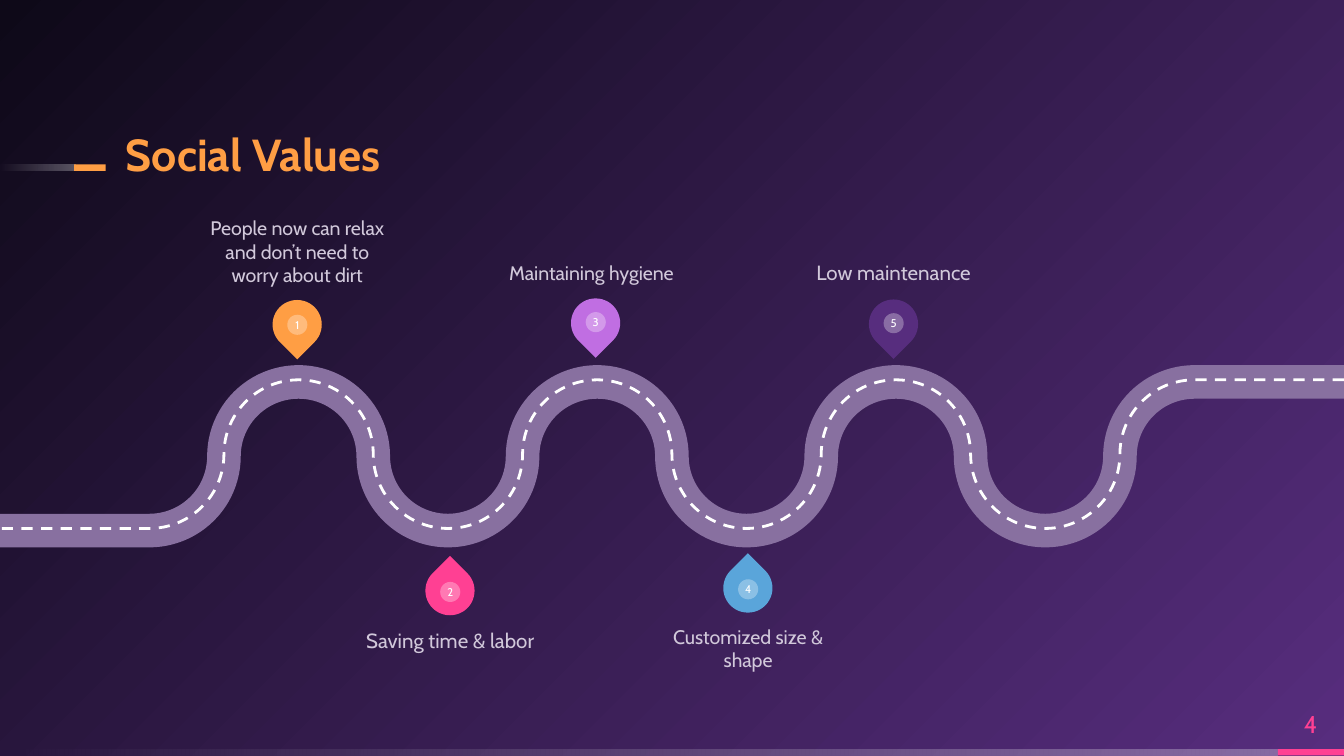
"""Build the Social Values roadmap slide."""
from lxml import etree
from pptx import Presentation, util as u
from pptx.dml.color import RGBColor
from pptx.enum import dml, shapes, text
from pptx.oxml import ns

HUES = {"orange": "FF9E44", "pink": "FF4093", "lilac": "C06EE2", "plum": "572D7E",
        "blue": "5AA5DA", "night": "0E0918", "road": "8870A0", "white": "FFFFFF",
        "label": "D1C8DA"}
RGB = {name: RGBColor.from_string(code) for name, code in HUES.items()}
Cm = u.Cm
KIND = shapes.MSO_SHAPE
MID, LOW, TOP = text.MSO_ANCHOR.MIDDLE, text.MSO_ANCHOR.BOTTOM, text.MSO_ANCHOR.TOP
CENTER, LEFT = text.PP_ALIGN.CENTER, text.PP_ALIGN.LEFT


def draw(home, kind, x, y, w, h, hue, alphas=()):
    """Add a borderless shape; two alphas make a white fade, one a tint."""
    shape = home.add_shape(kind, Cm(x), Cm(y), Cm(w), Cm(h))
    shape.shadow.inherit = False
    shape.line.fill.background()
    if len(alphas) == 2:
        shape.fill.gradient()
        shape.fill.gradient_angle = 180
        for stop, place in zip(shape.fill.gradient_stops, (0, 1)):
            stop.color.rgb = RGB[hue]
            stop.position = place
    else:
        shape.fill.solid()
        shape.fill.fore_color.rgb = RGB[hue]
    tints = shape.element.spPr.iter(ns.qn("a:srgbClr"))
    for tint, alpha in zip(tints, alphas):
        etree.SubElement(tint, ns.qn("a:alpha"), val=str(alpha * 1000))
    return shape


def write(shape, words, size, hue, anchor=MID, align=CENTER, bold=False):
    """Put one run of text in a shape without insets."""
    frame = shape.text_frame
    frame.word_wrap = True
    frame.auto_size = text.MSO_AUTO_SIZE.NONE
    frame.vertical_anchor = anchor
    frame.margin_left = frame.margin_right = frame.margin_top = frame.margin_bottom = 0
    para = frame.paragraphs[0]
    para.alignment = align
    run = para.add_run()
    run.text = words
    run.font.name, run.font.size, run.font.bold = "Cabin", u.Pt(size), bold
    run.font.color.rgb = RGB[hue]
    return para


deck = Presentation()
deck.slide_width, deck.slide_height = Cm(25.4), Cm(14.29)
slide = deck.slides.add_slide(deck.slide_layouts[5])
tree = slide.shapes

for plan in list(deck.slide_layouts):
    if not plan.used_by_slides:
        deck.slide_layouts.remove(plan)
for sheet in (slide.slide_layout, deck.slide_master):
    for holder in list(sheet.placeholders):
        if holder.top + holder.height > deck.slide_height:
            holder.element.getparent().remove(holder.element)

back = slide.background.fill
back.gradient()
for stop, hue, place in zip(back.gradient_stops, ("plum", "night"), (0, 1)):
    stop.color.rgb = RGB[hue]
    stop.position = place
lin = next(slide.element.iter(ns.qn("a:lin")))
ring = etree.Element(ns.qn("a:path"), path="circle")
etree.SubElement(ring, ns.qn("a:fillToRect"), l="100000", t="100000")
lin.getparent().replace(lin, ring)

draw(tree, KIND.RECTANGLE, 0, 14.16, 24.15, 0.12, "white", (30, 0))
draw(tree, KIND.RECTANGLE, 24.15, 14.16, 1.25, 0.12, "pink")
accent = tree.add_group_shape().shapes
draw(accent, KIND.RECTANGLE, 0, 3.11, 1.42, 0.12, "white", (30, 0))
draw(accent, KIND.RECTANGLE, 1.4, 3.11, 0.6, 0.12, "orange")

title = tree.title
title.left, title.top, title.width, title.height = Cm(2.38), Cm(2.33), Cm(14.73), Cm(1.1)
write(title, "Social Values", 24, "orange", LOW, LEFT, True).line_spacing = 0.9
page = tree.add_textbox(Cm(24.15), Cm(13.2), Cm(1.24), Cm(0.97))
write(page, "4", 13, "pink")

step = 25.4 / 18
turns = [(270, -90), (0, 90), (90, 90), (0, -90)]
for top, high, hue, wide in [(7.22, 2.81, "road", 18), (7.18, 2.81, "white", 1.5)]:
    levels = [top + high / 2, top + high, top + high / 2, top]
    spots = [(25.4 - 2 * step, top)]
    spots += [(25.4 - (i + 3) * step, levels[i % 4]) for i in range(14)]
    spots += [(0, top + high)]
    pen = tree.build_freeform(Cm(25.4), Cm(top))
    pen.add_line_segments([(Cm(x), Cm(y)) for x, y in spots], close=False)
    lane = pen.convert_to_shape()
    lane.shadow.inherit = False
    lane.fill.background()
    lane.line.color.rgb = RGB[hue]
    lane.line.width = u.Pt(wide)
    if hue == "white":
        lane.line.dash_style = dml.MSO_LINE.DASH
    legs = list(lane.element.iter(ns.qn("a:lnTo")))[1:-1]
    for i, leg in enumerate(legs):
        start, sweep = turns[i % 4]
        arc = etree.Element(ns.qn("a:arcTo"), wR=str(Cm(step)), hR=str(Cm(high / 2)),
                            stAng=str(start * 60000), swAng=str(sweep * 60000))
        leg.getparent().replace(leg, arc)

pins = [("1", 5.15, 5.67, "orange", 135, 0.28), ("3", 10.79, 5.64, "lilac", 135, 0.26),
        ("5", 16.42, 5.66, "plum", 135, 0.26), ("4", 13.67, 10.65, "blue", 315, 0.3),
        ("2", 8.04, 10.7, "pink", 315, 0.3)]
for digit, x, y, hue, angle, drop in pins:
    pin = tree.add_group_shape().shapes
    draw(pin, KIND.TEAR, x, y, 0.93, 0.93, hue).rotation = angle
    dot = draw(pin, KIND.OVAL, x + 0.28, y + drop, 0.38, 0.38, "white", (30,))
    write(dot, digit, 6, "white")

labels = [("People now can relax and don’t need to worry about dirt", 3.83, 3.95, 10.5, LOW),
          ("Maintaining hygiene", 9.39, 3.91, 10.5, LOW),
          ("Low maintenance", 15.1, 3.92, 11, LOW),
          ("Saving time & labor", 6.72, 11.87, 11, TOP),
          ("Customized size & shape", 12.35, 11.81, 10.5, TOP)]
for words, x, y, size, anchor in labels:
    box = tree.add_textbox(Cm(x), Cm(y), Cm(3.58), Cm(1.47))
    write(box, words, size, "label", anchor)

deck.save("out.pptx")
